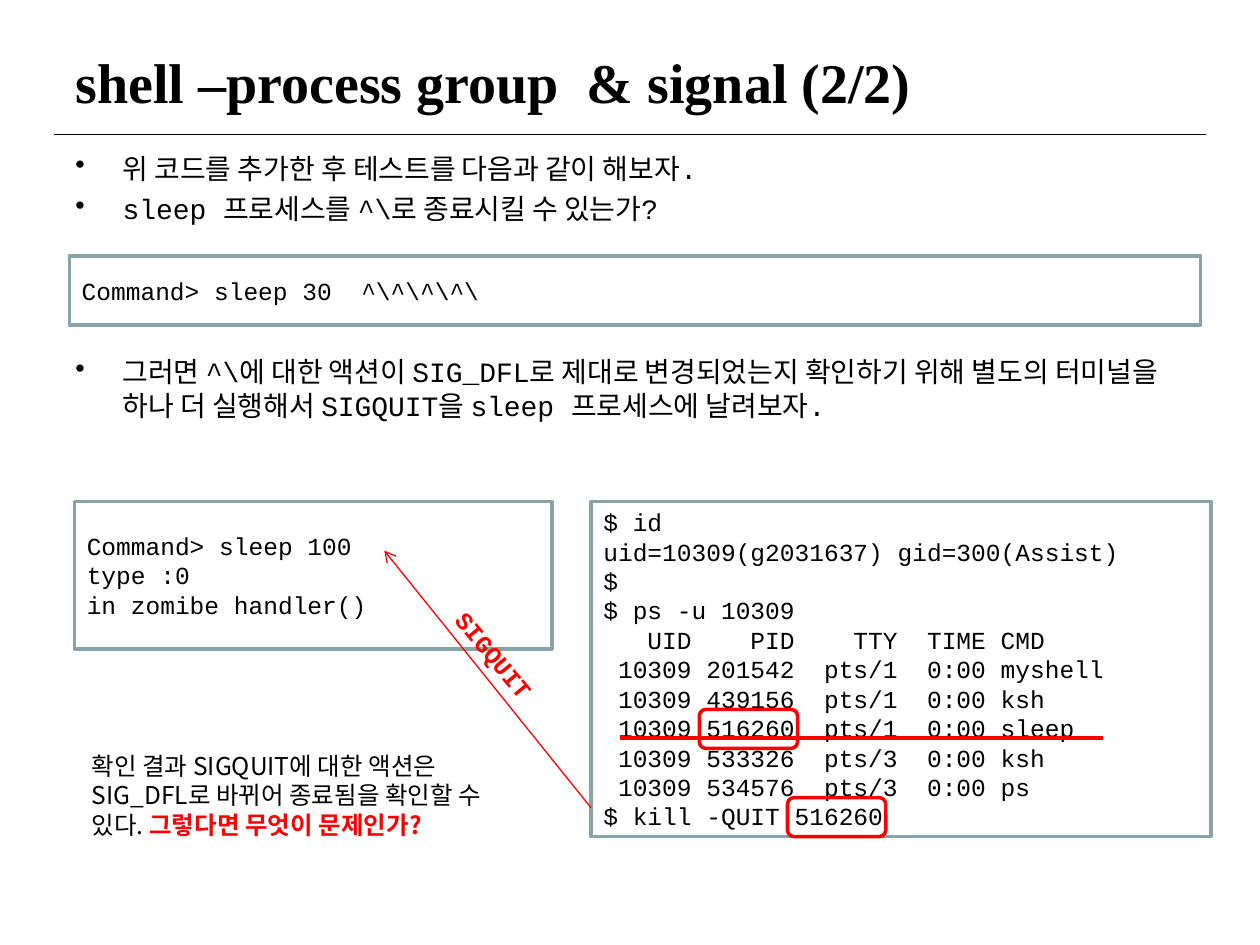
from dataclasses import dataclass

from lxml import etree
from pptx import Presentation
from pptx.dml import color
from pptx.enum import shapes, text
from pptx.oxml import ns
from pptx import util as u

COLUMNS, ROWS = 100, 75
BLACK, WHITE, RED, FRAME = "000000", "FFFFFF", "FF0000", "89A4A7"
MONO, SERIF, KOREAN = "Courier New", "Times New Roman", "Noto Sans CJK KR"

deck = Presentation()
deck.slide_width, deck.slide_height = u.Inches(10), u.Inches(7.5)
page = deck.slides.add_slide(deck.slide_layouts[5])


@dataclass(frozen=True)
class Area:
    column: float
    row: float
    columns: float
    rows: float

    def lengths(self) -> tuple:
        return (across(self.column), down(self.row),
                across(self.columns), down(self.rows))


@dataclass(frozen=True)
class Terminal:
    area: Area
    lines: tuple


@dataclass(frozen=True)
class Stroke:
    start: tuple
    end: tuple
    hue: str
    width: float
    arrow: bool = False


@dataclass(frozen=True)
class Bullet:
    words: str
    before: float = 4


def across(columns: float) -> int:
    return round(deck.slide_width * columns / COLUMNS)


def down(rows: float) -> int:
    return round(deck.slide_height * rows / ROWS)


def rgb(value: str) -> color.RGBColor:
    return color.RGBColor.from_string(value)


def write(para, words: str, *, size: float = 14, face: str = MONO,
          hue: str = BLACK, bold: bool = False) -> None:
    span = para.add_run()
    span.text = words
    span.font.size, span.font.name, span.font.bold = u.Pt(size), face, bold
    span.font.color.rgb = rgb(hue)
    east = etree.SubElement(span.font._element, ns.qn("a:ea"))
    east.set("typeface", KOREAN)


def draw_frame(kind, area: Area, hue: str, fill: str = ""):
    box = page.shapes.add_shape(kind, *area.lengths())
    box.shadow.inherit = False
    box.line.color.rgb, box.line.width = rgb(hue), u.Pt(2)
    if fill:
        box.fill.solid()
        box.fill.fore_color.rgb = rgb(fill)
    else:
        box.fill.background()
    return box


def draw_terminal(terminal: Terminal) -> None:
    box = draw_frame(shapes.MSO_SHAPE.RECTANGLE, terminal.area, FRAME, WHITE)
    frame = box.text_frame
    frame.vertical_anchor = text.MSO_ANCHOR.MIDDLE
    for index, line in enumerate(terminal.lines):
        para = frame.add_paragraph() if index else frame.paragraphs[0]
        para.alignment = text.PP_ALIGN.LEFT
        write(para, line)


def draw_stroke(stroke: Stroke) -> None:
    (left, top), (right, bottom) = stroke.start, stroke.end
    line = page.shapes.add_connector(
        shapes.MSO_CONNECTOR.STRAIGHT,
        across(left), down(top), across(right), down(bottom))
    line.line.color.rgb, line.line.width = rgb(stroke.hue), u.Pt(stroke.width)
    if stroke.arrow:
        head = etree.SubElement(line.line._get_or_add_ln(), ns.qn("a:tailEnd"))
        head.set("type", "arrow")
    etree.SubElement(line._element.spPr, ns.qn("a:effectLst"))


def add_text(area: Area, wrap: bool = True):
    box = page.shapes.add_textbox(*area.lengths())
    box.text_frame.word_wrap = wrap
    return box


def draw_bullets(area: Area, bullets: tuple) -> None:
    frame = add_text(area).text_frame
    for index, bullet in enumerate(bullets):
        para = frame.add_paragraph() if index else frame.paragraphs[0]
        para.space_before = u.Pt(bullet.before)
        write(para, bullet.words, size=16)
        properties = para._p.get_or_add_pPr()
        properties.set("marL", str(across(3.75)))
        properties.set("indent", str(-across(3.75)))
        etree.SubElement(properties, ns.qn("a:buChar")).set("char", "•")


def draw_title(area: Area, words: str) -> None:
    title = page.shapes.title
    title.left, title.top, title.width, title.height = area.lengths()
    title.text_frame.vertical_anchor = text.MSO_ANCHOR.MIDDLE
    para = title.text_frame.paragraphs[0]
    para.alignment = text.PP_ALIGN.LEFT
    write(para, words, size=32, face=SERIF, bold=True)


BULLETS = (
    Bullet("위 코드를 추가한 후 테스트를 다음과 같이 해보자."),
    Bullet("sleep 프로세스를 ^\\로 종료시킬 수 있는가?"),
    Bullet("그러면 ^\\에 대한 액션이 SIG_DFL로 제대로 변경되었는지 확인하기 위해 "
           "별도의 터미널을 하나 더 실행해서 SIGQUIT을 sleep 프로세스에 날려보자.", 74),
)
TERMINALS = (
    Terminal(Area(5.5, 20.3, 89.8, 5.5), ("Command> sleep 30  ^\\^\\^\\^\\",)),
    Terminal(Area(5.9, 39.8, 37.9, 11.7),
             ("Command> sleep 100", "type :0", "in zomibe handler()")),
    Terminal(Area(46.9, 39.8, 49.2, 26.6), (
        "$ id",
        "uid=10309(g2031637) gid=300(Assist)",
        "$",
        "$ ps -u 10309",
        "   UID    PID    TTY  TIME CMD",
        " 10309 201542  pts/1  0:00 myshell",
        " 10309 439156  pts/1  0:00 ksh",
        " 10309 516260  pts/1  0:00 sleep",
        " 10309 533326  pts/3  0:00 ksh",
        " 10309 534576  pts/3  0:00 ps",
        "$ kill -QUIT 516260",
    )),
)
PID_MARKS = (Area(55.5, 56.3, 7.8, 3.1), Area(62.5, 63.3, 7.8, 3.1))
TITLE_RULE = Stroke((4.3, 10.7), (95.7, 10.7), BLACK, 0.75)
SLEEP_RULE = Stroke((49.2, 58.6), (87.5, 58.6), RED, 2.25)
SIGNAL_ARROW = Stroke((46.9, 64.1), (30.5, 43.7), RED, 0.75, arrow=True)


def main() -> None:
    draw_stroke(TITLE_RULE)
    draw_title(Area(5, 3, 90, 6.9), "shell –process group  & signal (2/2)")
    draw_bullets(Area(5, 11.5, 90, 55.5), BULLETS)
    for terminal in TERMINALS:
        draw_terminal(terminal)
    draw_stroke(SLEEP_RULE)
    for area in PID_MARKS:
        draw_frame(shapes.MSO_SHAPE.ROUNDED_RECTANGLE, area, RED)
    draw_stroke(SIGNAL_ARROW)

    label = add_text(Area(34.1, 50.3, 10.2, 3.4), wrap=False)
    label.rotation = 50.1
    para = label.text_frame.paragraphs[0]
    para.alignment = text.PP_ALIGN.CENTER
    write(para, "SIGQUIT", hue=RED, bold=True)

    note = add_text(Area(6.3, 59.1, 35.2, 8)).text_frame.paragraphs[0]
    write(note, "확인 결과 SIGQUIT에 대한 액션은 SIG_DFL로 바뀌어 종료됨을 확인할 수 있다. ",
          face=KOREAN)
    write(note, "그렇다면 무엇이 문제인가?", face=KOREAN, hue=RED, bold=True)

    deck.save("out.pptx")


if __name__ == "__main__":
    main()
